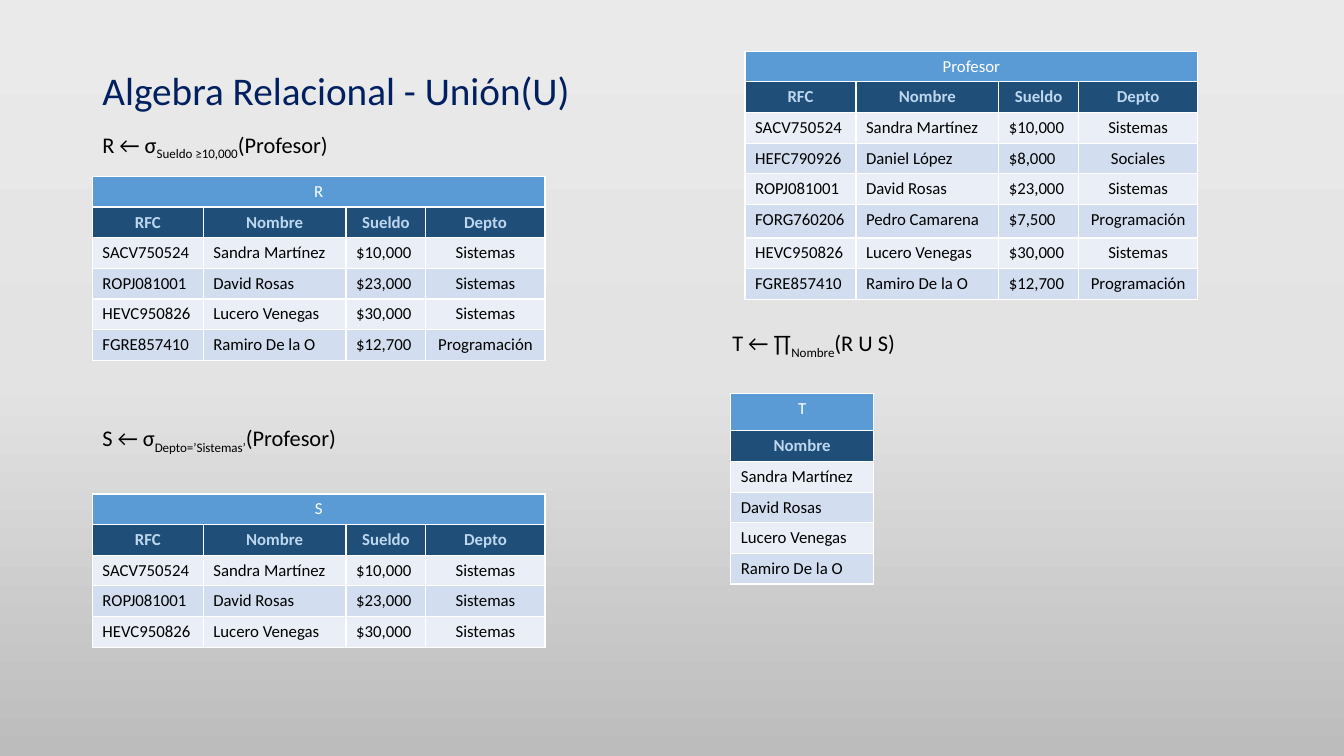
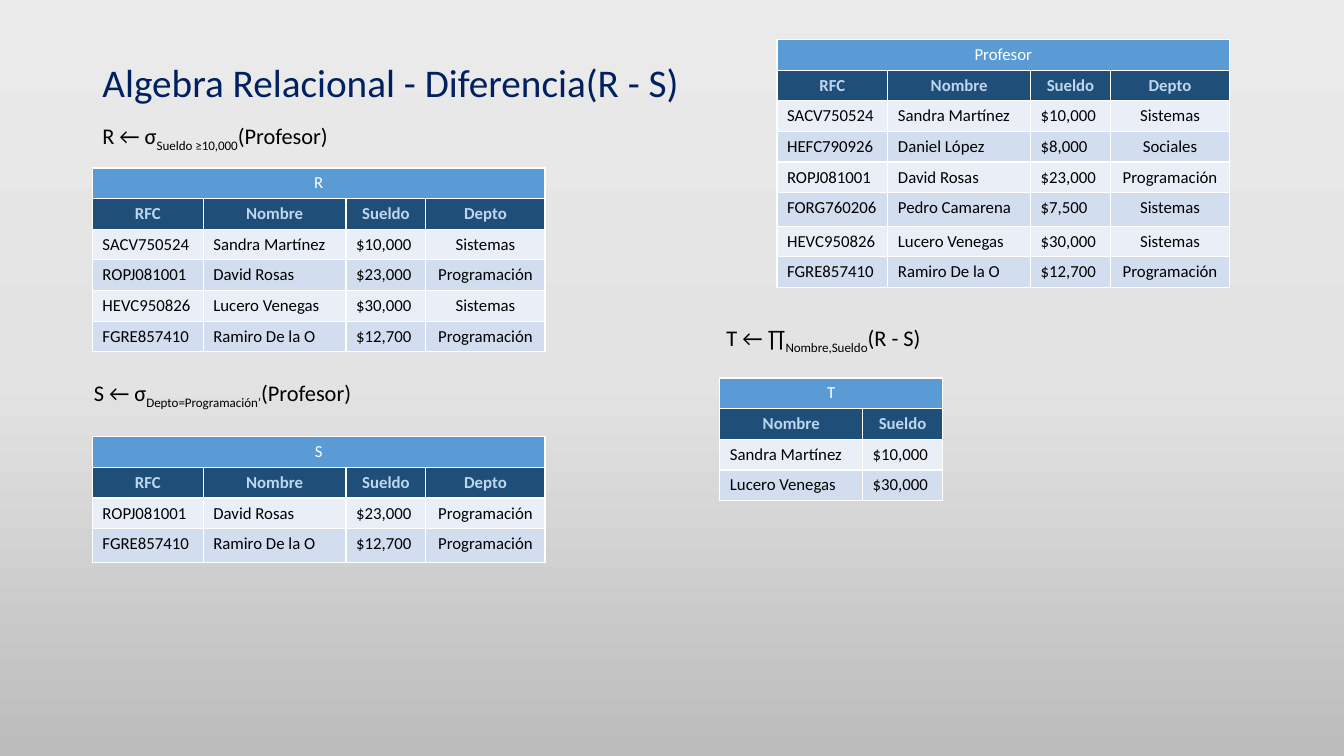
from dataclasses import dataclass

from pptx import Presentation
from pptx.dml.color import RGBColor
from pptx.enum.text import MSO_ANCHOR as ANCHOR, MSO_AUTO_SIZE as AUTOSIZE, PP_ALIGN as ALIGN
from pptx.oxml import parse_xml
from pptx.oxml.ns import nsdecls
from pptx.util import Inches, Pt


@dataclass(frozen=True)
class Theme:
    """Colours, font and type sizes shared by the slides."""
    font: str = "Calibri"
    title: str = "002060"
    text: str = "000000"
    white: str = "FFFFFF"
    caption_fill: str = "5B9BD5"
    header_fill: str = "1F4E79"
    header_text: str = "BDD7EE"
    bands: tuple = ("EAEFF7", "D2DEEF")
    backdrop: tuple = ((0, "EBEAEA"), (50, "E4E3E3"), (100, "BDBCBC"))
    title_size: int = 28
    formula_size: int = 16
    table_size: int = 12


T = Theme()
WIDTH, HEIGHT = Inches(13.33), Inches(7.5)
COLS, ROWS = 160, 90
LEFT = 11
ROW = 3.65
TALL = 4
COL_WIDTHS = {"RFC": 13.2, "Nombre": 17, "Sueldo": 9.5, "Depto": 14.2}
FIELDS = tuple(COL_WIDTHS)
PEOPLE = (
    ("SACV750524", "Sandra Martínez", 10000),
    ("HEFC790926", "Daniel López", 8000),
    ("ROPJ081001", "David Rosas", 23000),
    ("FORG760206", "Pedro Camarena", 7500),
    ("HEVC950826", "Lucero Venegas", 30000),
    ("FGRE857410", "Ramiro De la O", 12700),
)


def x(cols):
    """Turn grid columns into a length."""
    return int(WIDTH * cols / COLS)


def y(rows):
    """Turn grid rows into a length."""
    return int(HEIGHT * rows / ROWS)


def add_run(p, text, size, color, bold=False, sub=False):
    """Add one formatted run, as a subscript if asked."""
    r = p.add_run()
    r.text = text
    f = r.font
    f.name, f.size, f.bold = T.font, Pt(size), bold
    f.color.rgb = RGBColor.from_string(color)
    if sub:
        r._r.get_or_add_rPr().set("baseline", "-25000")


def set_backdrop(master):
    """Give the master its vertical grey gradient."""
    stops = "".join(f'<a:gs pos="{pos * 1000}"><a:srgbClr val="{c}"/></a:gs>' for pos, c in T.backdrop)
    master.background.fill.solid()
    solid = master.element.xpath("p:cSld/p:bg/p:bgPr/a:solidFill")[0]
    solid.getparent().replace(solid, parse_xml(
        f'<a:gradFill {nsdecls("a")} rotWithShape="1"><a:gsLst>{stops}</a:gsLst>'
        '<a:lin ang="5400000" scaled="0"/></a:gradFill>'))


def add_slide(prs, title, top):
    """Add a title-only slide with its title placed."""
    s = prs.slides.add_slide(prs.slide_layouts[5])
    sp = s.shapes.title
    sp.left, sp.top, sp.width, sp.height = x(LEFT), y(top), x(77), y(6.4)
    tf = sp.text_frame
    tf.auto_size, tf.vertical_anchor, tf.word_wrap = AUTOSIZE.NONE, ANCHOR.TOP, True
    p = tf.paragraphs[0]
    p.alignment, p.line_spacing = ALIGN.LEFT, 0.9
    add_run(p, title, T.title_size, T.title)
    return s


def add_formula(s, left, top, head, sub, tail):
    """Add an algebra expression with a subscript condition."""
    tf = s.shapes.add_textbox(x(left), y(top), x(42), y(4.5)).text_frame
    tf.word_wrap = True
    p = tf.paragraphs[0]
    add_run(p, head, T.formula_size, T.text)
    add_run(p, sub, T.formula_size, T.text, sub=True)
    add_run(p, tail, T.formula_size, T.text)


def style_cell(cell, fill):
    """Set the fill and the thin white borders of a cell."""
    tcPr = cell._tc.get_or_add_tcPr()
    for side in "LRTB":
        tcPr.append(parse_xml(
            f'<a:ln{side} {nsdecls("a")} w="12700"><a:solidFill>'
            f'<a:srgbClr val="{T.white}"/></a:solidFill></a:ln{side}>'))
    cell.fill.solid()
    cell.fill.fore_color.rgb = RGBColor.from_string(fill)


def add_relation(s, left, top, name, records, fields=FIELDS, tall=None):
    """Add a relation as a table: caption, header, banded records."""
    heights = [ROW] * (len(records) + 2)
    for i, height in (tall or {}).items():
        heights[i] = height
    widths = [COL_WIDTHS[f] for f in fields]
    tbl = s.shapes.add_table(len(heights), len(fields), x(left), y(top),
                             x(sum(widths)), y(sum(heights))).table
    tbl.first_row = tbl.horz_banding = False
    for col, width in zip(tbl.columns, widths):
        col.width = x(width)
    for row, height in zip(tbl.rows, heights):
        row.height = y(height)
    if len(fields) > 1:
        tbl.cell(0, 0).merge(tbl.cell(0, len(fields) - 1))
    lines = [{fields[0]: name}, dict(zip(fields, fields)), *records]
    for i, line in enumerate(lines):
        fill = (T.caption_fill, T.header_fill)[i] if i < 2 else T.bands[i % 2]
        color = (T.white, T.header_text)[i] if i < 2 else T.text
        for j, field in enumerate(fields):
            cell = tbl.cell(i, j)
            style_cell(cell, fill)
            if field in line:
                value = line[field]
                p = cell.text_frame.paragraphs[0]
                p.alignment = ALIGN.CENTER if i < 2 or field == "Depto" else ALIGN.LEFT
                text = f"${value:,}" if isinstance(value, int) else value
                add_run(p, text, T.table_size, color, bold=i == 1)


def professors(depts):
    """Join the people with their departments."""
    return [dict(zip(FIELDS, (*person, d))) for person, d in zip(PEOPLE, depts)]


def well_paid(records):
    """Select the records with a salary of at least 10,000."""
    return [r for r in records if r["Sueldo"] >= 10000]


def in_dept(records, dept):
    """Select the records of one department."""
    return [r for r in records if r["Depto"] == dept]


def union_slide(prs):
    """Build the slide on union."""
    staff = professors(("Sistemas", "Sociales", "Sistemas", "Programación", "Sistemas", "Programación"))
    high, dept = well_paid(staff), in_dept(staff, "Sistemas")
    s = add_slide(prs, "Algebra Relacional - Unión(U)", 7.9)
    add_formula(s, LEFT, 15, "R ← σ", "Sueldo ≥10,000", "(Profesor)")
    add_relation(s, LEFT, 21, "R", high)
    add_formula(s, LEFT, 49.9, "S ← σ", "Depto=’Sistemas’", "(Profesor)")
    add_relation(s, LEFT, 58.8, "S", dept)
    add_relation(s, 88.7, 6.1, "Profesor", staff, tall={5: TALL})
    add_formula(s, 86, 38.6, "T ← ∏", "Nombre", "(R U S)")
    either = [r for r in staff if r in high or r in dept]
    add_relation(s, 87, 46.8, "T", either, ("Nombre",), {0: 4.5})


def difference_slide(prs):
    """Build the slide on difference."""
    staff = professors(("Sistemas", "Sociales", "Programación", "Sistemas", "Sistemas", "Programación"))
    high, dept = well_paid(staff), in_dept(staff, "Programación")
    s = add_slide(prs, "Algebra Relacional - Diferencia(R - S)", 7)
    add_formula(s, LEFT, 14, "R ← σ", "Sueldo ≥10,000", "(Profesor)")
    add_relation(s, LEFT, 20, "R", high)
    add_formula(s, 10, 44.6, "S ← σ", "Depto=Programación’", "(Profesor)")
    add_relation(s, LEFT, 52, "S", dept, tall={3: TALL})
    add_relation(s, 92.5, 4.7, "Profesor", staff, tall={5: TALL})
    add_formula(s, 85.3, 38, "T ← ∏", "Nombre,Sueldo", "(R - S)")
    rest = [r for r in high if r not in dept]
    add_relation(s, 85.7, 45, "T", rest, ("Nombre", "Sueldo"))


def main():
    """Build and save the presentation."""
    prs = Presentation()
    prs.slide_width, prs.slide_height = WIDTH, HEIGHT
    set_backdrop(prs.slide_master)
    union_slide(prs)
    difference_slide(prs)
    prs.save("out.pptx")


if __name__ == "__main__":
    main()
